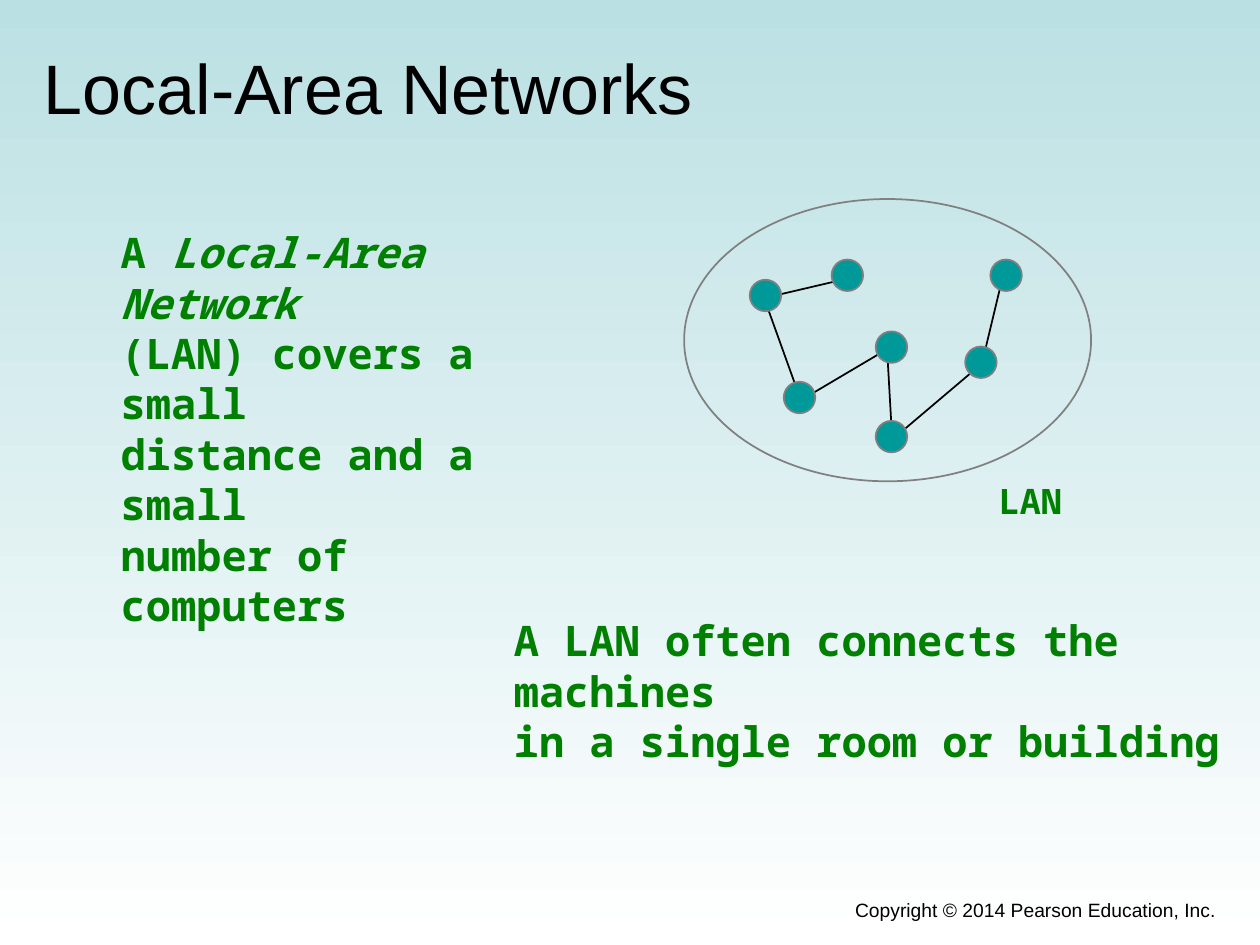
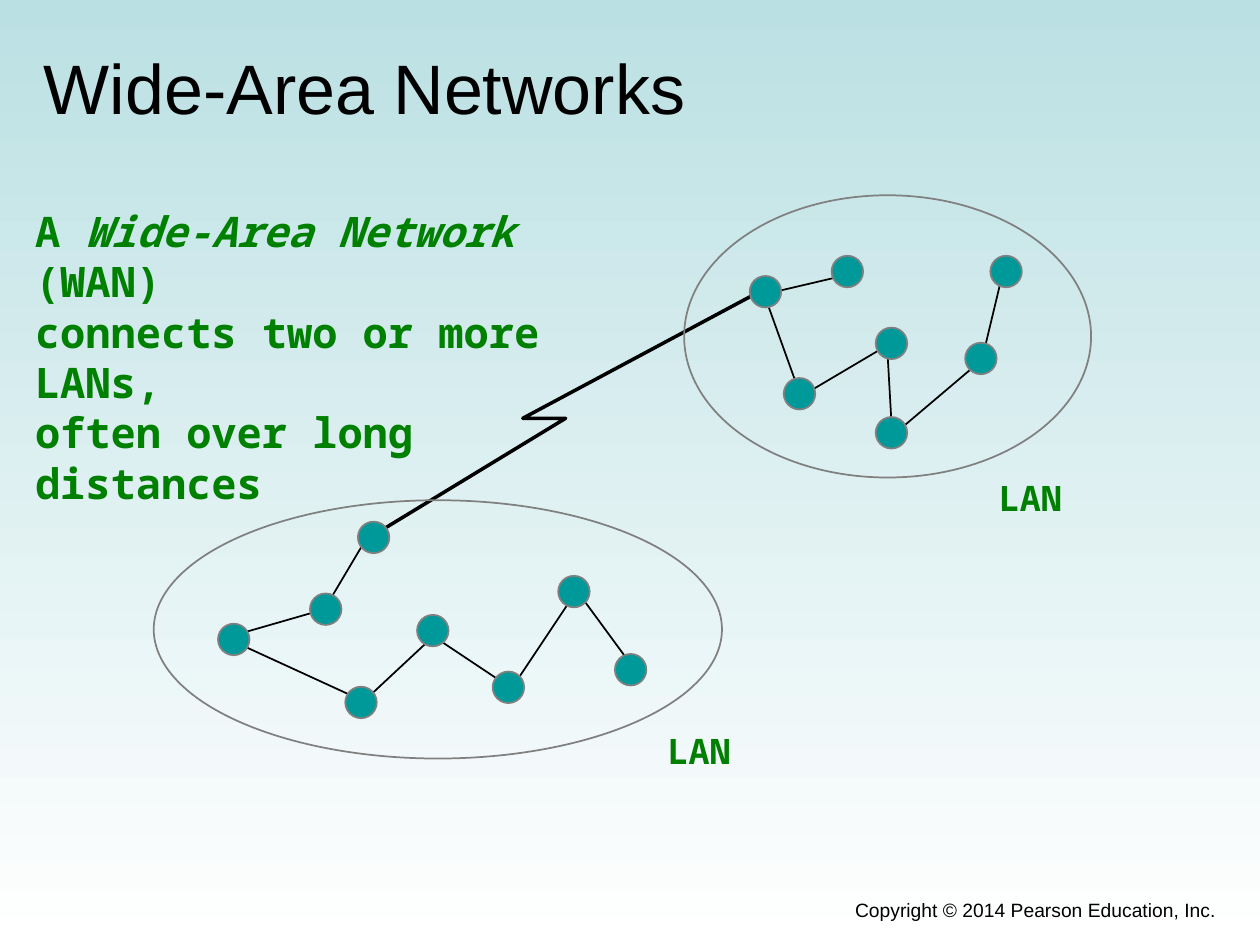
from lxml import etree
from pptx import Presentation
from pptx import util as u
from pptx.dml.color import RGBColor
from pptx.enum import shapes, text
from pptx.oxml.ns import qn

# Shared look
rgb = RGBColor.from_string
BLACK, GREEN, TEAL, GREY = "000000", "008000", "009999", "808080"
BACKGROUND = ("BBE0E3", "FFFFFF")
SANS, MONO = "Arial", "Noto Sans Mono"
COPYRIGHT = "Copyright © 2014 Pearson Education, Inc."
NODE_SIZE = 0.25


def add_text(parent, box, lines, size, font=MONO, color=GREEN, bold=True):
    """Add one paragraph per line; a line is a list of runs, every second one italic."""
    shape = parent.add_textbox(*map(u.Inches, box))
    frame = shape.text_frame
    frame.word_wrap = True
    for number, runs in enumerate(lines):
        paragraph = frame.paragraphs[0] if number == 0 else frame.add_paragraph()
        paragraph.font.size = u.Pt(size)
        paragraph.font.name = font
        paragraph.font.bold = bold
        paragraph.font.color.rgb = rgb(color)
        for position, words in enumerate(runs):
            run = paragraph.add_run()
            run.text = words
            if position % 2:
                run.font.italic = True
    return frame


def add_lan(slide, lan, shift=0):
    """Draw links, computers, outline and label of one network as a group."""
    group = slide.shapes.add_group_shape().shapes
    for x1, y1, x2, y2 in lan["links"]:
        ends = (x1, y1 + shift, x2, y2 + shift)
        link = group.add_connector(shapes.MSO_CONNECTOR.STRAIGHT, *map(u.Inches, ends))
        link.line.color.rgb = rgb(BLACK)
        link.line.width = u.Pt(1)
        etree.SubElement(link._element.spPr, qn("a:effectLst"))
    ovals = [(x, y, NODE_SIZE, NODE_SIZE) for x, y in lan["nodes"]] + [lan["outline"]]
    for left, top, width, height in ovals:
        box = (left, top + shift, width, height)
        oval = group.add_shape(shapes.MSO_SHAPE.OVAL, *map(u.Inches, box))
        oval.shadow.inherit = False
        oval.line.color.rgb = rgb(GREY)
        oval.line.width = u.Pt(1)
        if width == NODE_SIZE:
            oval.fill.solid()
            oval.fill.fore_color.rgb = rgb(TEAL)
        else:
            oval.fill.background()
    left, top = lan["label"]
    add_text(group, (left, top + shift, 0.78, 0.43), [["LAN"]], 20)


# Networks
upper_lan = {
    "links": [(6.09, 2.36, 6.73, 2.21), (6.35, 3.16, 6.07, 2.38),
              (7.04, 2.76, 7.08, 3.47), (6.35, 3.18, 7.06, 2.76),
              (7.96, 2.19, 7.79, 2.9), (7.08, 3.49, 7.8, 2.88)],
    "nodes": [(5.95, 2.22), (6.6, 2.06), (6.22, 3.03), (6.95, 2.63),
              (6.95, 3.34), (7.66, 2.75), (7.86, 2.06)],
    "outline": (5.43, 1.58, 3.23, 2.24),
    "label": (7.83, 3.76),
}
lower_lan = {
    "links": [(1.83, 5.05, 2.56, 4.84), (2.94, 4.22, 2.56, 4.86),
              (2.92, 5.58, 1.83, 5.08), (2.85, 5.6, 3.44, 5.05),
              (4.57, 4.7, 4.05, 5.48), (5.02, 5.29, 4.55, 4.65),
              (4.01, 5.43, 3.41, 5.03)],
    "nodes": [(1.73, 4.95), (2.46, 4.71), (2.84, 4.14), (2.74, 5.45),
              (3.31, 4.88), (3.91, 5.33), (4.43, 4.57), (4.88, 5.19)],
    "outline": (1.22, 3.97, 4.51, 2.05),
    "label": (5.2, 5.74),
}

presentation = Presentation()
presentation.slide_width = u.Inches(10)
presentation.slide_height = u.Inches(7.5)

# Background, title and footer of both slides
slides = []
for title in ("Local-Area Networks", "Wide-Area Networks"):
    slide = presentation.slides.add_slide(presentation.slide_layouts[6])
    slides.append(slide)
    fill = slide.background.fill
    fill.gradient()
    fill.gradient_angle = 270
    for stop, color in zip(fill.gradient_stops, BACKGROUND):
        stop.color.rgb = rgb(color)
    frame = add_text(slide.shapes, (0.25, 0.3, 9.5, 0.78), [[title]], 40, SANS, BLACK, False)
    frame.vertical_anchor = text.MSO_ANCHOR.MIDDLE
    frame = add_text(slide.shapes, (3.67, 7.08, 6.08, 0.34), [[COPYRIGHT]], 11, SANS, BLACK, False)
    frame.paragraphs[0].alignment = text.PP_ALIGN.RIGHT
local_slide, wide_slide = slides

# Local-area network
add_lan(local_slide, upper_lan)
add_text(local_slide.shapes, (0.86, 1.75, 3.82, 1.7),
         [["A ", "Local-Area Network"], ["(LAN) covers a small"],
          ["distance and a small"], ["number of computers"]], 24)
add_text(local_slide.shapes, (3.98, 4.83, 6.1, 0.9),
         [["A LAN often connects the machines"], ["in a single room or building"]], 24)

# Wide-area network: long-distance link behind the two networks
start, *bends = [(u.Inches(x), u.Inches(y))
                 for x, y in ((2.96, 4.25), (4.49, 3.32), (4.15, 3.32), (6, 2.33))]
builder = wide_slide.shapes.build_freeform(*start)
builder.add_line_segments(bends, close=False)
long_link = builder.convert_to_shape()
long_link.shadow.inherit = False
long_link.fill.background()
long_link.line.color.rgb = rgb(BLACK)
long_link.line.width = u.Pt(2)

add_lan(wide_slide, lower_lan)
add_text(wide_slide.shapes, (0.18, 1.58, 4.86, 1.3),
         [["A ", "Wide-Area Network", " (WAN)"], ["connects two or more LANs,"],
          ["often over long distances"]], 24)
add_lan(wide_slide, upper_lan, shift=-0.03)

presentation.save("out.pptx")
